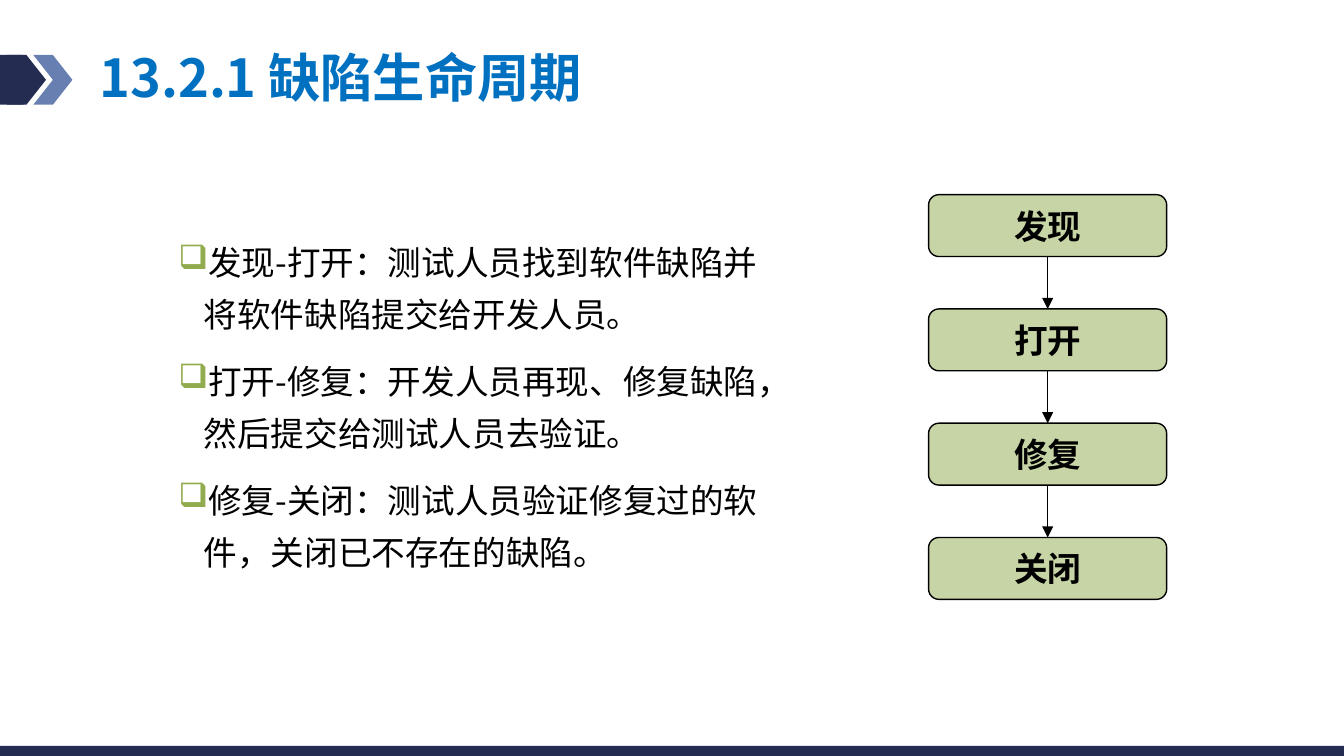
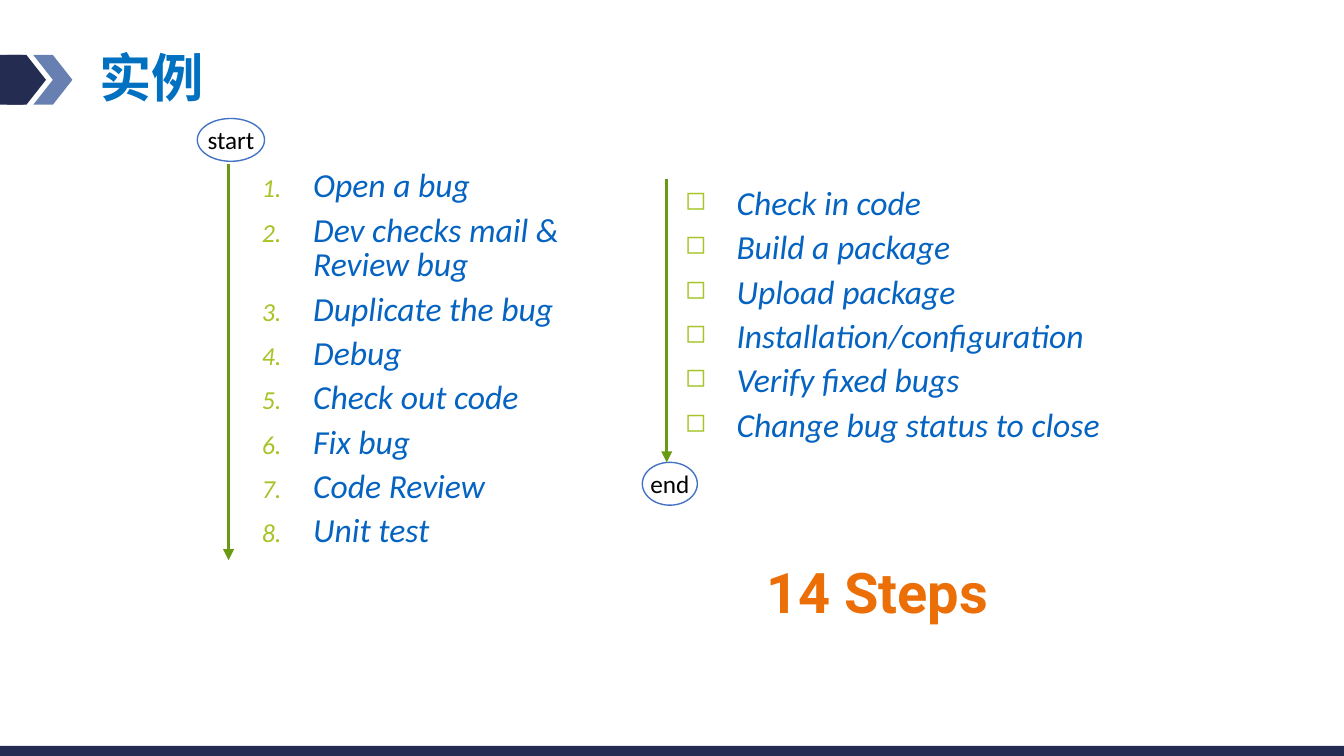
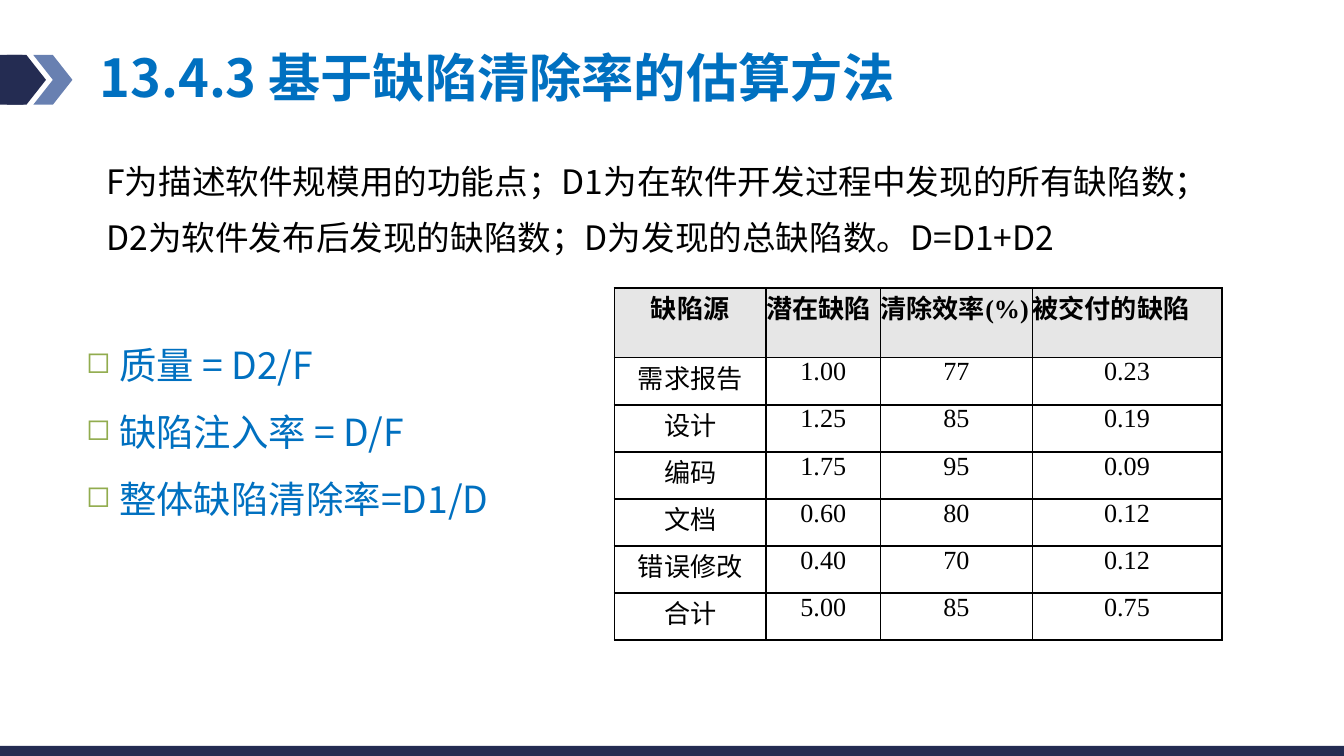
from itertools import pairwise

from lxml.etree import SubElement as Sub
from pptx import Presentation
from pptx.dml.color import RGBColor as Rgb
from pptx.enum.shapes import MSO_CONNECTOR as Link, MSO_SHAPE as Form
from pptx.enum.text import MSO_ANCHOR as Anchor, PP_ALIGN as Align
from pptx.oxml.ns import qn
from pptx.util import Cm, Pt

HUES = {
    "navy": "242C52",
    "steel": "6880B1",
    "blue": "0070C0",
    "link": "0563C1",
    "ring": "4472C4",
    "olive": "91AC4E",
    "lime": "A6C426",
    "leaf": "6A9913",
    "orange": "EB6E07",
    "grey": "E6E6E6",
    "black": "000000",
}
SANS = "Noto Sans CJK SC"
LATIN = "Calibri"
SERIF = "Times New Roman"


def hue(name):
    return Rgb.from_string(HUES[name])


def paint(fill, name, alpha=None):
    fill.solid()
    fill.fore_color.rgb = hue(name)
    if alpha:
        color = fill._xPr.find(".//" + qn("a:srgbClr"))
        Sub(color, qn("a:alpha"), val=str(alpha * 1000))


def style(par, size, color, face=SANS, bold=False, slant=False):
    font = par.font
    font.size, font.name = Pt(size), face
    font.bold, font.italic = bold, slant
    font.color.rgb = hue(color)
    if face == SANS:
        Sub(font._rPr, qn("a:ea"), typeface=face)


def indent(par, left, first):
    props = par._p.get_or_add_pPr()
    props.set("marL", str(Cm(left)))
    props.set("indent", str(Cm(first)))
    return props


def bullet(par, mark, color, size=100, hang=0):
    props = indent(par, hang, -hang)
    tint = Sub(props, qn("a:buClr"))
    Sub(tint, qn("a:srgbClr"), val=HUES[color])
    Sub(props, qn("a:buSzPct"), val=str(size * 1000))
    if mark == "1.":
        Sub(props, qn("a:buAutoNum"), type="arabicPeriod")
    else:
        Sub(props, qn("a:buChar"), char=mark)


def strip(frame):
    frame.margin_left = frame.margin_right = 0
    frame.margin_top = frame.margin_bottom = 0


def box(slide, spot, lines, flush=False):
    frame = slide.shapes.add_textbox(*map(Cm, spot)).text_frame
    frame.word_wrap = True
    if flush:
        strip(frame)
    frame.text = "\n".join(lines)
    return frame.paragraphs


def shape(slide, form, spot, fill=None, alpha=None, line=None):
    item = slide.shapes.add_shape(form, *map(Cm, spot))
    item.shadow.inherit = False
    if fill:
        paint(item.fill, fill, alpha)
    else:
        item.fill.background()
    if line:
        item.line.color.rgb = hue(line)
        item.line.width = Pt(0.75)
    else:
        item.line.fill.background()
    return item


def label(item, text, size, bold=False):
    frame = item.text_frame
    strip(frame)
    frame.word_wrap = False
    frame.vertical_anchor = Anchor.MIDDLE
    frame.text = text
    par = frame.paragraphs[0]
    par.alignment = Align.CENTER
    style(par, size, "black", LATIN, bold)


def arrow(slide, spot, color, width):
    line = slide.shapes.add_connector(Link.STRAIGHT, *map(Cm, spot))
    line.line.color.rgb = hue(color)
    line.line.width = Pt(width)
    Sub(line.line._get_or_add_ln(), qn("a:tailEnd"), type="triangle")
    Sub(line._element.spPr, qn("a:effectLst"))
    return line


def page(deck, text):
    slide = deck.slides.add_slide(deck.slide_layouts[5])
    block = shape(slide, Form.ROUNDED_RECTANGLE, (-0.38, 1.04, 0.89, 0.94), "navy")
    block.adjustments[0] = 0.1
    for left, color in ((0.63, "steel"), (0.13, "navy")):
        shape(slide, Form.CHEVRON, (left, 1.04, 0.74, 0.94), color)
    shape(slide, Form.RECTANGLE, (0, 14.1, 25.4, 0.33), "navy")
    title = slide.shapes.title
    title.left, title.top = Cm(1.63), Cm(0.79)
    title.width, title.height = Cm(20.45), Cm(1.45)
    title.text_frame.vertical_anchor = Anchor.MIDDLE
    title.text_frame.text = text
    par = title.text_frame.paragraphs[0]
    par.alignment = Align.LEFT
    par.line_spacing = 0.9
    style(par, 28, "blue", bold=True)
    return slide


def steps(slide, spot, lines, mark):
    for par in box(slide, spot, lines):
        bullet(par, mark, "lime", 77, 0.97)
        par.line_spacing = 0.85
        par.space_before = Pt(5.4)
        style(par, 18, "link", LATIN, slant=True)


def flow(slide, names):
    nodes = []
    for row, name in enumerate(names):
        spot = (17.55, 3.68 + 2.16 * row, 4.5, 1.17)
        node = shape(slide, Form.FLOWCHART_ALTERNATE_PROCESS, spot, "olive", 50, "black")
        label(node, name, 18, True)
        nodes.append(node)
    for upper, lower in pairwise(nodes):
        line = arrow(slide, (0, 0, 0, 0), "black", 0.75)
        line.begin_connect(upper, 2)
        line.end_connect(lower, 0)


def edge(cell):
    props = cell._tc.get_or_add_tcPr()
    for side in ("lnL", "lnR", "lnT", "lnB"):
        line = Sub(props, qn("a:" + side), w=str(Pt(1)))
        Sub(Sub(line, qn("a:solidFill")), qn("a:srgbClr"), val=HUES["black"])


def grid(slide, left, top, cols, rows, data):
    spot = (left, top, sum(cols), sum(rows))
    table = slide.shapes.add_table(len(rows), len(cols), *map(Cm, spot)).table
    table.first_row = table.horz_banding = False
    for col, width in zip(table.columns, cols):
        col.width = Cm(width)
    for row, height in zip(table.rows, rows):
        row.height = Cm(height)
    for r, line in enumerate(data):
        for c, text in enumerate(line):
            cell = table.cell(r, c)
            strip(cell)
            edge(cell)
            if r == 0:
                paint(cell.fill, "grey", 50)
            else:
                cell.fill.background()
            cell.text = text
            par = cell.text_frame.paragraphs[0]
            indent(par, 0.97, -0.97)
            par.alignment = Align.LEFT if r == 0 and c else Align.CENTER
            style(par, 14, "black", SERIF, r == 0)


def cycle(deck):
    slide = page(deck, "13.2.1 缺陷生命周期")
    lines = (
        "发现-打开：测试人员找到软件缺陷并将软件缺陷提交给开发人员。",
        "打开-修复：开发人员再现、修复缺陷，然后提交给测试人员去验证。",
        "修复-关闭：测试人员验证修复过的软件，关闭已不存在的缺陷。",
    )
    for par in box(slide, (3.12, 4.22, 12.07, 6.6), lines):
        bullet(par, "❑", "olive", hang=0.48)
        par.line_spacing = 1.3
        par.space_before = Pt(7.5)
        style(par, 18, "black")
    flow(slide, ("发现", "打开", "修复", "关闭"))


def sample(deck):
    slide = page(deck, "实例")
    steps(slide, (4.7, 3.1, 7.77, 7.77), (
        "Open a bug",
        "Dev checks mail & Review bug",
        "Duplicate the bug",
        "Debug",
        "Check out code",
        "Fix bug",
        "Code Review",
        "Unit test",
    ), "1.")
    steps(slide, (12.7, 3.43, 8.41, 6.22), (
        "Check in code",
        "Build a package",
        "Upload package",
        "Installation/configuration",
        "Verify fixed bugs",
        "Change bug status to close",
    ), "◻")
    total = box(slide, (14.48, 10.54, 5.16, 1.27), ["14 Steps"], True)[0]
    style(total, 30, "orange", "Roboto", True)
    for name, spot in (
        ("start", (3.73, 2.24, 1.27, 0.81)),
        ("end", (12.14, 8.74, 1.04, 0.81)),
    ):
        label(shape(slide, Form.OVAL, spot, line="ring"), name, 13.5)
    for x, top, foot in ((4.32, 3.1, 10.59), (12.6, 3.38, 8.74)):
        arrow(slide, (x, top, x, foot), "leaf", 1.5)


def rates(deck):
    slide = page(deck, "13.4.3 基于缺陷清除率的估算方法")
    intro, *rules = box(slide, (1.63, 2.74, 21.13, 7.04), (
        "F为描述软件规模用的功能点；D1为在软件开发过程中发现的所有缺陷数；"
        "D2为软件发布后发现的缺陷数；D为发现的总缺陷数。D=D1+D2",
        " 质量 = D2/F",
        " 缺陷注入率 = D/F",
        " 整体缺陷清除率=D1/D",
    ), True)
    indent(intro, 0.38, 0)
    intro.line_spacing = 1.4
    style(intro, 18, "black")
    for par in rules:
        bullet(par, "◻", "olive", 80)
        par.line_spacing = 1.5
        style(par, 20, "blue")
    rules[0].space_before = Pt(33)
    grid(slide, 11.61, 5.44, (2.87, 2.16, 2.87, 3.58), [1.32] + [0.89] * 6, (
        ("缺陷源", "潜在缺陷", "清除效率(%)", "被交付的缺陷"),
        ("需求报告", "1.00", "77", "0.23"),
        ("设计", "1.25", "85", "0.19"),
        ("编码", "1.75", "95", "0.09"),
        ("文档", "0.60", "80", "0.12"),
        ("错误修改", "0.40", "70", "0.12"),
        ("合计", "5.00", "85", "0.75"),
    ))


def main():
    deck = Presentation()
    deck.slide_width, deck.slide_height = Cm(25.4), Cm(14.29)
    for build in (cycle, sample, rates):
        build(deck)
    deck.save("out.pptx")


if __name__ == "__main__":
    main()
